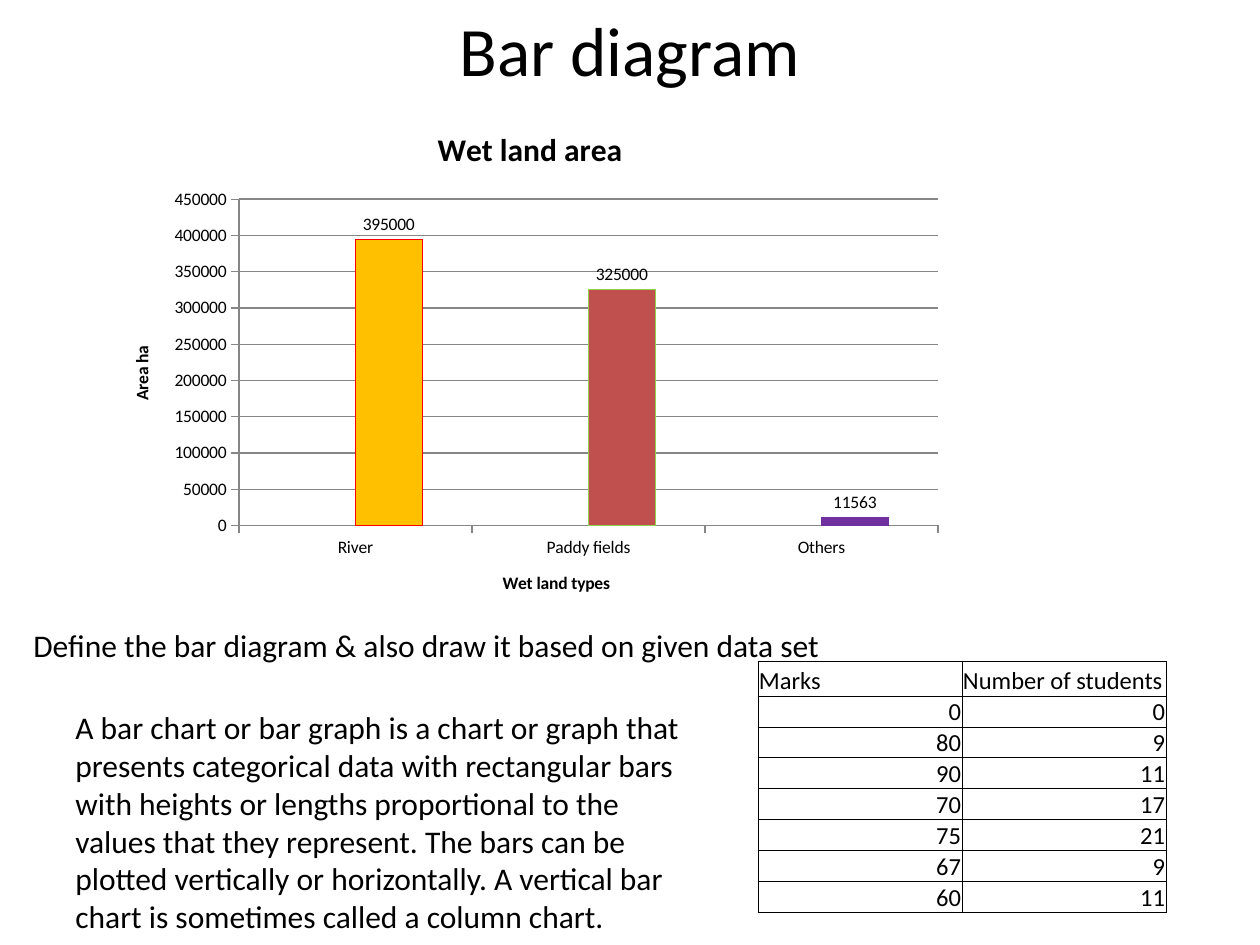
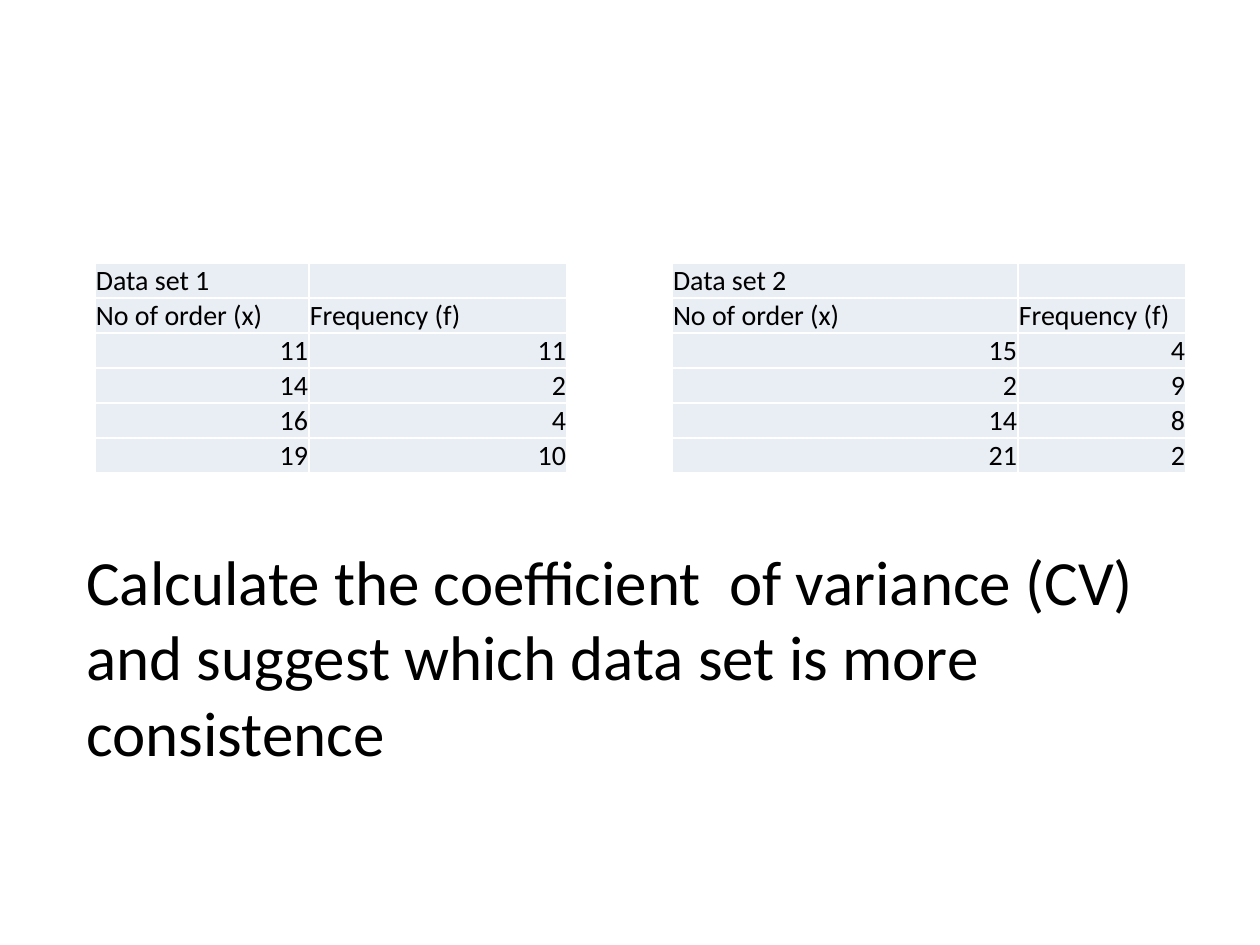
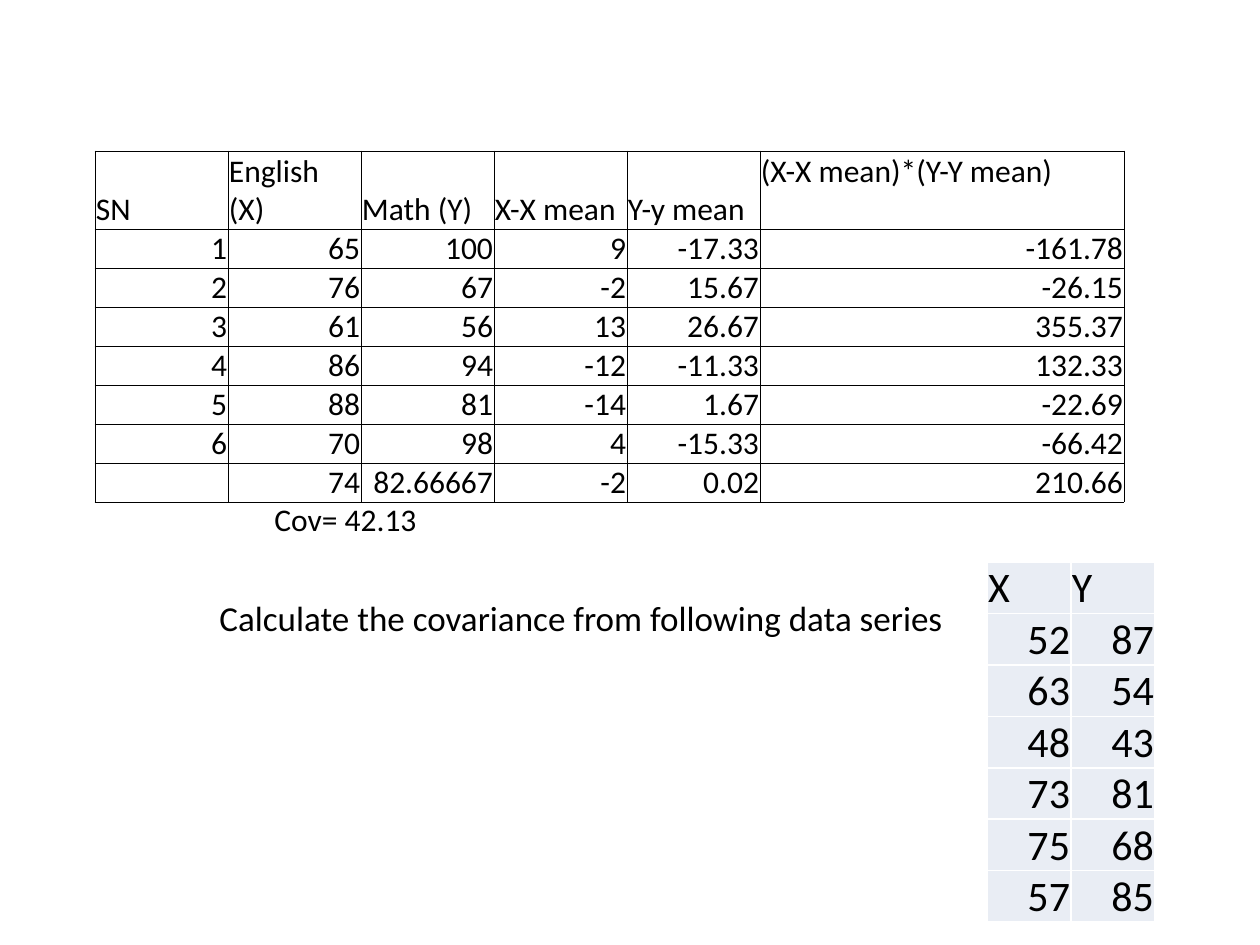
from lxml import etree
from pptx import Presentation
from pptx.chart.data import CategoryChartData
from pptx.dml.color import RGBColor
from pptx.enum.chart import XL_CHART_TYPE, XL_LABEL_POSITION, XL_TICK_MARK
from pptx.enum.text import MSO_ANCHOR, MSO_AUTO_SIZE, PP_ALIGN
from pptx.oxml.ns import qn
from pptx.util import Emu, Pt

EMU_PER_PX = 914400 / 126
TITLE_ONLY, BLANK = 5, 6
COLUMNS = XL_CHART_TYPE.COLUMN_CLUSTERED
OUTSIDE_END = XL_LABEL_POSITION.OUTSIDE_END
TICK_OUT = XL_TICK_MARK.OUTSIDE
TOP, MIDDLE, BOTTOM = MSO_ANCHOR.TOP, MSO_ANCHOR.MIDDLE, MSO_ANCHOR.BOTTOM
GROW = MSO_AUTO_SIZE.SHAPE_TO_FIT_TEXT
LEFT, CENTER, RIGHT = PP_ALIGN.LEFT, PP_ALIGN.CENTER, PP_ALIGN.RIGHT

FONT = "Calibri"
BLACK = RGBColor(0x00, 0x00, 0x00)
WHITE = RGBColor(0xFF, 0xFF, 0xFF)
GRAY = RGBColor(0x86, 0x86, 0x86)
PALE_BLUE = RGBColor(0xE9, 0xED, 0xF4)
BLUE = RGBColor(0x4F, 0x81, 0xBD)
BRICK = RGBColor(0xC0, 0x50, 0x4D)
AMBER = RGBColor(0xFF, 0xC0, 0x00)
PURPLE = RGBColor(0x70, 0x30, 0xA0)
RED = RGBColor(0xFF, 0x00, 0x00)
GREEN = RGBColor(0x92, 0xD0, 0x50)


def px(length):
    return Emu(round(length * EMU_PER_PX))


def style_font(font, size, bold=False):
    font.name = FONT
    font.size = Pt(size)
    font.bold = bold
    font.color.rgb = BLACK


def set_borders(cell, color, width):
    properties = cell._tc.get_or_add_tcPr()
    for side in ("a:lnL", "a:lnR", "a:lnT", "a:lnB"):
        line = etree.SubElement(properties, qn(side), w=str(Pt(width)))
        fill = etree.SubElement(line, qn("a:solidFill"))
        etree.SubElement(fill, qn("a:srgbClr"), val=str(color))


class Deck:
    def __init__(self):
        self.presentation = Presentation()
        self.presentation.slide_width = px(1260)
        self.presentation.slide_height = px(945)
        self.slide = None

    def add_slide(self, layout=BLANK):
        layouts = self.presentation.slide_layouts
        self.slide = self.presentation.slides.add_slide(layouts[layout])

    def set_text(self, frame, text, size, align=LEFT):
        frame.text = text
        paragraph = frame.paragraphs[0]
        paragraph.alignment = align
        for run in paragraph.runs:
            style_font(run.font, size)

    def title(self, text, left, top, width, height):
        title = self.slide.shapes.title
        title.left, title.top = px(left), px(top)
        title.width, title.height = px(width), px(height)
        title.text_frame.vertical_anchor = MIDDLE
        self.set_text(title.text_frame, text, 39.6, CENTER)

    def text(self, text, left, top, width, height, size, wrap=True):
        box = self.slide.shapes.add_textbox(px(left), px(top), px(width), px(height))
        frame = box.text_frame
        frame.word_wrap = wrap
        frame.auto_size = GROW
        self.set_text(frame, text, size)

    def table(self, rows, left, top, widths, heights, size, header_rows=1, tinted=False):
        """Add a table with left-aligned header rows and right-aligned values."""
        table = self.slide.shapes.add_table(
            len(rows), len(widths), px(left), px(top), px(sum(widths)), px(sum(heights))
        ).table
        table.first_row = table.horz_banding = False
        for column, width in zip(table.columns, widths):
            column.width = px(width)
        for row, height in zip(table.rows, heights):
            row.height = px(height)
        for row_index, values in enumerate(rows):
            align = LEFT if row_index < header_rows else RIGHT
            for column_index, value in enumerate(values):
                self.cell(table.cell(row_index, column_index), value, size, align, tinted)
        return table

    def cell(self, cell, value, size, align, tinted):
        cell.margin_left = cell.margin_right = cell.margin_top = px(1)
        cell.margin_bottom = 0
        cell.vertical_anchor = BOTTOM
        if value == "":
            paragraph = cell.text_frame.paragraphs[0]
            etree.SubElement(paragraph._p, qn("a:endParaRPr"), sz=str(size * 100))
        else:
            self.set_text(cell.text_frame, str(value), size, align)
        if tinted:
            set_borders(cell, WHITE, 1)
            cell.fill.solid()
            cell.fill.fore_color.rgb = PALE_BLUE
        else:
            set_borders(cell, BLACK, 0.5)
            cell.fill.background()

    def column_chart(self, title, categories, series, left, top, width, height):
        data = CategoryChartData()
        data.categories = categories
        for name, values in series:
            data.add_series(name, values)
        chart = self.slide.shapes.add_chart(
            COLUMNS, px(left), px(top), px(width), px(height), data
        ).chart
        style_font(chart.font, 10)
        chart.has_legend = False
        self.chart_title(chart, title, 18)
        plot = chart.plots[0]
        plot.vary_by_categories = False
        plot.gap_width = 150
        for axis in (chart.category_axis, chart.value_axis):
            axis.major_tick_mark = TICK_OUT
            axis.format.line.color.rgb = GRAY
        chart.value_axis.has_major_gridlines = True
        chart.value_axis.major_gridlines.format.line.color.rgb = GRAY
        return chart

    def chart_title(self, owner, text, size):
        """Title a chart or one of its axes."""
        owner.has_title = True
        frame = (owner.chart_title if hasattr(owner, "chart_title") else owner.axis_title).text_frame
        frame.text = text
        style_font(frame.paragraphs[0].runs[0].font, size, bold=True)


def build_bar_diagram(deck):
    deck.add_slide(TITLE_ONLY)
    deck.title("Bar diagram", 63, 0, 1134, 98)

    chart = deck.column_chart(
        "Wet land area",
        ["River", "Paddy fields", "Others"],
        [("Series 1", [None] * 3), ("Series 2", [395000, 325000, 11563])],
        105, 105, 850, 514,
    )
    deck.chart_title(chart.category_axis, "Wet land types", 10)
    deck.chart_title(chart.value_axis, "Area ha", 10)
    chart.value_axis.minimum_scale = 0
    chart.value_axis.maximum_scale = 450000
    chart.value_axis.major_unit = 50000

    empty_series, areas = chart.plots[0].series
    for series, color in ((empty_series, BLUE), (areas, BRICK)):
        series.format.fill.solid()
        series.format.fill.fore_color.rgb = color
    for index, (fill, line) in enumerate([(AMBER, RED), (BRICK, GREEN), (PURPLE, PURPLE)]):
        bar = areas.points[index].format
        bar.fill.solid()
        bar.fill.fore_color.rgb = fill
        bar.line.color.rgb = line
    labels = areas.data_labels
    labels.show_value = True
    labels.position = OUTSIDE_END
    style_font(labels.font, 10)

    marks = [
        ("Marks", "Number of students"),
        (0, 0), (80, 9), (90, 11), (70, 17), (75, 21), (67, 9), (60, 11),
    ]
    deck.table(marks, 758, 661, [204, 204], [35] + [31] * 7, 14)
    deck.text("Define the bar diagram & also draw it based on given data set",
              21, 620, 822, 50, 18, wrap=False)
    deck.text(
        "A bar chart or bar graph is a chart or graph that presents categorical data with "
        "rectangular bars with heights or lengths proportional to the values that they "
        "represent. The bars can be plotted vertically or horizontally. A vertical bar chart "
        "is sometimes called a column chart.",
        63, 702, 630, 242, 18,
    )


def build_variance_exercise(deck):
    deck.add_slide()
    data_sets = [
        ("Data set 1", 95, [214, 258], [(11, 11), (14, 2), (16, 4), (19, 10)]),
        ("Data set 2", 672, [346, 168], [(15, 4), (2, 9), (14, 8), (21, 2)]),
    ]
    for name, left, widths, orders in data_sets:
        rows = [(name, ""), ("No of order (x)", "Frequency (f)"), *orders]
        deck.table(rows, left, 263, widths, [35] * 6, 16, header_rows=2, tinted=True)
    deck.text("Calculate the coefficient  of variance (CV) and suggest which data set is "
              "more consistence", 74, 536, 1144, 242, 36)


def build_covariance_exercise(deck):
    deck.add_slide()
    scores = [
        ("SN", "English (X)", "Math (Y)", "X-X mean", "Y-y mean", "(X-X mean)*(Y-Y mean)"),
        (1, 65, 100, 9, -17.33, -161.78),
        (2, 76, 67, -2, 15.67, -26.15),
        (3, 61, 56, 13, 26.67, 355.37),
        (4, 86, 94, -12, -11.33, 132.33),
        (5, 88, 81, -14, 1.67, -22.69),
        (6, 70, 98, 4, -15.33, -66.42),
        ("", 74, "82.66667", -2, 0.02, 210.66),
    ]
    score_table = deck.table(scores, 95, 151, [133] * 5 + [364], [78] + [39] * 7, 18)
    score_table.cell(0, 5).vertical_anchor = TOP
    deck.text("Cov= 42.13", 262, 494, 294, 50, 18)

    pairs = [("X", "Y"), (52, 87), (63, 54), (48, 43), (73, 81), (75, 68), (57, 85)]
    deck.table(pairs, 987, 562, [84, 84], [51] * 7, 24, tinted=True)
    deck.text("Calculate the covariance from following data series",
              207, 590, 756, 55, 20, wrap=False)


def main():
    deck = Deck()
    build_bar_diagram(deck)
    build_variance_exercise(deck)
    build_covariance_exercise(deck)
    deck.presentation.save("out.pptx")


if __name__ == "__main__":
    main()
